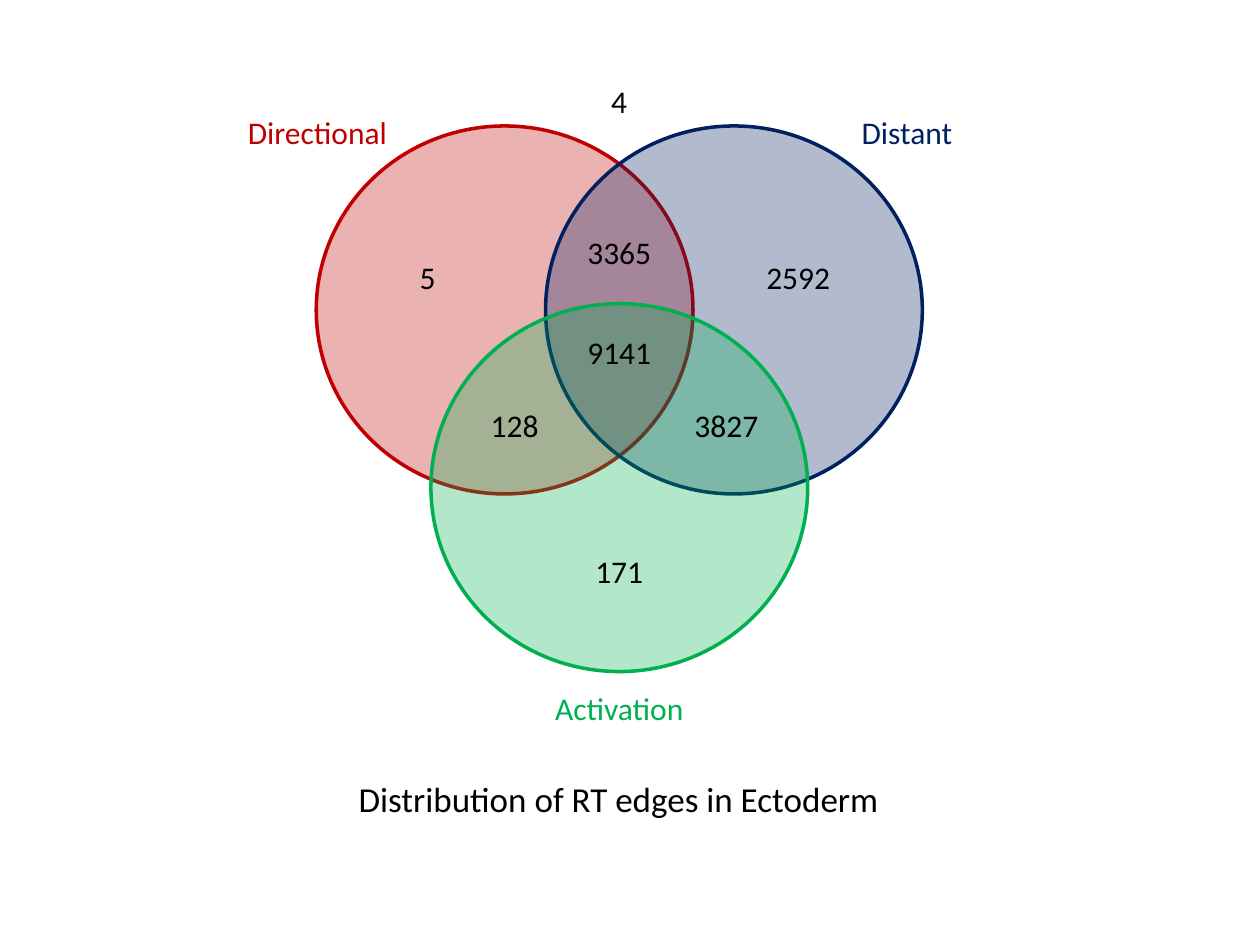
from dataclasses import dataclass

from lxml import etree
from pptx import Presentation
from pptx.dml.color import RGBColor
from pptx.enum.shapes import MSO_SHAPE
from pptx.enum.text import MSO_ANCHOR, MSO_AUTO_SIZE, PP_ALIGN
from pptx.oxml.ns import qn
from pptx.util import Inches, Pt

ELLIPSE = MSO_SHAPE.OVAL
TOP = MSO_ANCHOR.TOP
FIT_SHAPE = MSO_AUTO_SIZE.SHAPE_TO_FIT_TEXT
LEFT, CENTER, RIGHT = PP_ALIGN.LEFT, PP_ALIGN.CENTER, PP_ALIGN.RIGHT

TITLE_ONLY = 5
RED, NAVY, GREEN, BLACK = "C00000", "002060", "00B050", "000000"
CIRCLE_WIDTH, CIRCLE_HEIGHT = 2.99, 2.92
CIRCLE_OPACITY = 30
COUNT_WIDTH, LABEL_HEIGHT = 0.83, 0.4
MIDDLE = 4.5


@dataclass
class Circle:
    left: float
    top: float
    color: str


@dataclass
class Label:
    text: str
    left: float
    top: float
    width: float = COUNT_WIDTH
    height: float = LABEL_HEIGHT
    color: str = BLACK
    align: PP_ALIGN = CENTER
    size: int = 18


CIRCLES = [
    Circle(2.51, 1, RED),
    Circle(4.33, 1, NAVY),
    Circle(3.42, 2.41, GREEN),
]

SET_NAMES = [
    Label("Directional", 1.53, 0.85, 1.64, color=RED, align=RIGHT),
    Label("Distant", 6.74, 0.85, 1.33, color=NAVY, align=LEFT),
    Label("Activation", 4.25, 5.42, 1.33, color=GREEN),
]

COUNTS = [
    Label("5", 2.98, 2),
    Label("2592", 5.92, 2),
    Label("171", MIDDLE, 4.33),
    Label("9141", MIDDLE, 2.59),
    Label("3365", MIDDLE, 1.8),
    Label("128", 3.67, 3.17),
    Label("3827", 5.35, 3.17),
    Label("4", MIDDLE, 0.6),
]

CAPTION = Label("Distribution of RT edges in Ectoderm", 1.66, 6.12, 6.5, 0.44, size=20)


def rgb(color: str) -> RGBColor:
    return RGBColor.from_string(color)


def set_attributes(target, values: dict) -> None:
    for name, value in values.items():
        setattr(target, name, value)


def draw_circle(slide, circle: Circle) -> None:
    oval = slide.shapes.add_shape(
        ELLIPSE, Inches(circle.left), Inches(circle.top),
        Inches(CIRCLE_WIDTH), Inches(CIRCLE_HEIGHT),
    )
    oval.shadow.inherit = False
    oval.fill.solid()
    oval.fill.fore_color.rgb = rgb(circle.color)
    tint = oval.fill._xPr.find(qn("a:solidFill")).find(qn("a:srgbClr"))
    etree.SubElement(tint, qn("a:alpha"), val=str(CIRCLE_OPACITY * 1000))
    oval.line.color.rgb = rgb(circle.color)
    oval.line.width = Pt(2)


def write_label(box, label: Label) -> None:
    set_attributes(box, {
        "left": Inches(label.left),
        "top": Inches(label.top),
        "width": Inches(label.width),
        "height": Inches(label.height),
    })
    set_attributes(box.text_frame, {
        "text": label.text,
        "word_wrap": True,
        "auto_size": FIT_SHAPE,
        "vertical_anchor": TOP,
    })
    paragraph = box.text_frame.paragraphs[0]
    paragraph.alignment = label.align
    font = paragraph.runs[0].font
    set_attributes(font, {"name": "Calibri", "size": Pt(label.size)})
    font.color.rgb = rgb(label.color)


def main() -> None:
    presentation = Presentation()
    set_attributes(presentation, {"slide_width": Inches(10), "slide_height": Inches(7.5)})
    slide = presentation.slides.add_slide(presentation.slide_layouts[TITLE_ONLY])
    write_label(slide.shapes.title, CAPTION)
    for circle in CIRCLES:
        draw_circle(slide, circle)
    for label in SET_NAMES + COUNTS:
        write_label(slide.shapes.add_textbox(0, 0, 0, 0), label)
    presentation.save("out.pptx")


if __name__ == "__main__":
    main()
